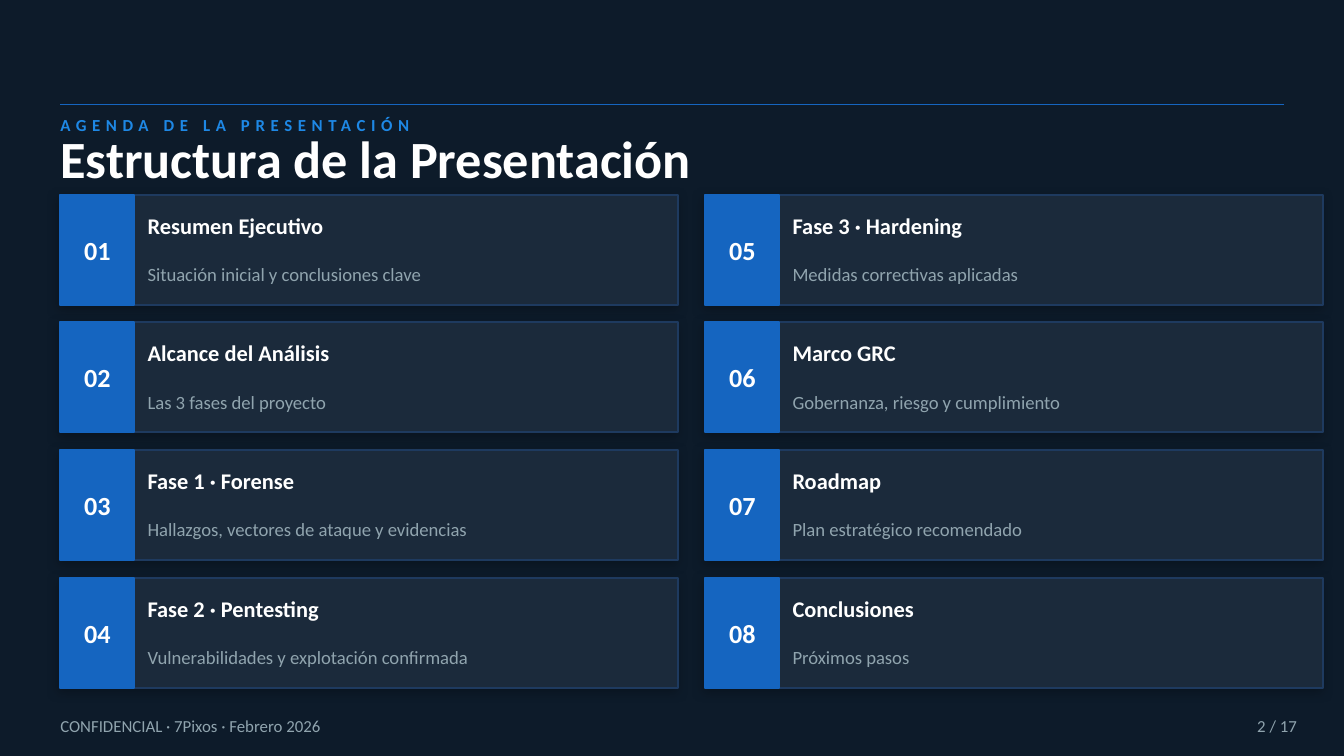
from dataclasses import dataclass

from lxml import etree
from pptx import Presentation
from pptx.dml.color import RGBColor
from pptx.enum.shapes import MSO_CONNECTOR, MSO_SHAPE
from pptx.enum.text import MSO_ANCHOR, MSO_AUTO_SIZE, PP_ALIGN
from pptx.oxml.ns import qn
from pptx.util import Cm, Pt

RECTANGLE = MSO_SHAPE.RECTANGLE
STRAIGHT = MSO_CONNECTOR.STRAIGHT
MIDDLE = MSO_ANCHOR.MIDDLE
NO_AUTOFIT = MSO_AUTO_SIZE.NONE
LEFT, CENTER, RIGHT = PP_ALIGN.LEFT, PP_ALIGN.CENTER, PP_ALIGN.RIGHT
TITLE_ONLY = 5


@dataclass(frozen=True)
class Theme:
    """Colours, font and type sizes of the deck."""

    font: str = "Calibri"
    background: str = "0D1B2A"
    card: str = "1B2A3B"
    card_border: str = "1E3A5F"
    accent: str = "1565C0"
    bright_accent: str = "1E88E5"
    white: str = "FFFFFF"
    muted: str = "90A4AE"
    title_size: int = 28
    number_size: int = 14
    topic_size: int = 12
    detail_size: int = 10
    small_size: int = 9


THEME = Theme()

MARGIN = 1.14
CARD_TOP = 3.68
CARD_WIDTH, CARD_HEIGHT = 11.68, 2.08
COLUMN_PITCH, ROW_PITCH = 12.19, 2.413
ROWS = 4
BADGE_WIDTH = 1.4

AGENDA = [
    ("Resumen Ejecutivo", "Situación inicial y conclusiones clave"),
    ("Alcance del Análisis", "Las 3 fases del proyecto"),
    ("Fase 1 · Forense", "Hallazgos, vectores de ataque y evidencias"),
    ("Fase 2 · Pentesting", "Vulnerabilidades y explotación confirmada"),
    ("Fase 3 · Hardening", "Medidas correctivas aplicadas"),
    ("Marco GRC", "Gobernanza, riesgo y cumplimiento"),
    ("Roadmap", "Plan estratégico recomendado"),
    ("Conclusiones", "Próximos pasos"),
]


def write(holder, text, size, color, bold=False, align=LEFT):
    """Fill a shape with one formatted line and return its run."""
    frame = holder.text_frame
    frame.text = text
    frame.word_wrap = True
    frame.auto_size = NO_AUTOFIT
    frame.vertical_anchor = MIDDLE
    frame.margin_left = frame.margin_right = 0
    frame.margin_top = frame.margin_bottom = 0
    paragraph = frame.paragraphs[0]
    paragraph.alignment = align
    run = paragraph.runs[0]
    run.font.name = THEME.font
    run.font.size = Pt(size)
    run.font.bold = bold
    run.font.color.rgb = RGBColor.from_string(color)
    return run


def add_label(slide, box, text, size, color, **style):
    """Add a text box given as left, top, width and height in centimetres."""
    label = slide.shapes.add_textbox(*map(Cm, box))
    return write(label, text, size, color, **style)


def add_panel(slide, box, fill, border):
    """Add a flat bordered rectangle."""
    panel = slide.shapes.add_shape(RECTANGLE, *map(Cm, box))
    panel.shadow.inherit = False
    panel.fill.solid()
    panel.fill.fore_color.rgb = RGBColor.from_string(fill)
    panel.line.color.rgb = RGBColor.from_string(border)
    panel.line.width = Pt(1)
    return panel


def cast_shadow(panel):
    """Give a panel a soft black shadow towards the lower left."""
    effects = panel.element.spPr.find(qn("a:effectLst"))
    shadow = etree.SubElement(
        effects, qn("a:outerShdw"), blurRad=str(Pt(6)), dist=str(Pt(2)),
        dir="8100000", algn="bl", rotWithShape="0",
    )
    color = etree.SubElement(shadow, qn("a:srgbClr"), val="000000")
    etree.SubElement(color, qn("a:alpha"), val="25000")


def add_rule(slide, left, right, top):
    """Add the thin horizontal rule above the heading."""
    rule = slide.shapes.add_connector(STRAIGHT, Cm(left), Cm(top), Cm(right), Cm(top))
    rule.line.color.rgb = RGBColor.from_string(THEME.accent)
    rule.line.width = Pt(0.5)
    etree.SubElement(rule.element.spPr, qn("a:effectLst"))


def add_heading(slide):
    """Add the rule, the spaced overline and the title."""
    add_rule(slide, MARGIN, 24.26, 1.98)
    overline = add_label(slide, (MARGIN, 2.08, 10.16, 0.56), "AGENDA DE LA PRESENTACIÓN",
                         THEME.small_size, THEME.bright_accent, bold=True)
    overline.font._element.set("spc", "300")
    title = slide.shapes.title
    title.left, title.top, title.width, title.height = map(Cm, (MARGIN, 2.34, 23.11, 1.27))
    write(title, "Estructura de la Presentación", THEME.title_size, THEME.white, bold=True)


def add_card(slide, index, topic, detail):
    """Add one numbered agenda card, filling the grid column by column."""
    column, row = divmod(index, ROWS)
    left = MARGIN + column * COLUMN_PITCH
    top = CARD_TOP + row * ROW_PITCH
    card = add_panel(slide, (left, top, CARD_WIDTH, CARD_HEIGHT), THEME.card, THEME.card_border)
    cast_shadow(card)
    badge = add_panel(slide, (left, top, BADGE_WIDTH, CARD_HEIGHT), THEME.accent, THEME.accent)
    write(badge, f"{index + 1:02}", THEME.number_size, THEME.white, bold=True, align=CENTER)
    text_left = left + 1.65
    add_label(slide, (text_left, top + 0.2, 9.78, 0.76), topic,
              THEME.topic_size, THEME.white, bold=True)
    add_label(slide, (text_left, top + 1.12, 9.78, 0.76), detail,
              THEME.detail_size, THEME.muted)


def add_footer(slide):
    """Add the confidentiality note and the page count."""
    top, height = 13.46, 0.51
    add_label(slide, (MARGIN, top, 20.83, height), "CONFIDENCIAL · 7Pixos · Febrero 2026",
              THEME.small_size, THEME.muted)
    add_label(slide, (22.35, top, 2.16, height), "2 / 17",
              THEME.small_size, THEME.muted, align=RIGHT)


def main():
    """Build the agenda slide and save it."""
    deck = Presentation()
    deck.slide_width, deck.slide_height = Cm(25.4), Cm(14.29)
    slide = deck.slides.add_slide(deck.slide_layouts[TITLE_ONLY])
    slide.background.fill.solid()
    slide.background.fill.fore_color.rgb = RGBColor.from_string(THEME.background)
    add_heading(slide)
    for index, (topic, detail) in enumerate(AGENDA):
        add_card(slide, index, topic, detail)
    add_footer(slide)
    deck.save("out.pptx")


if __name__ == "__main__":
    main()
